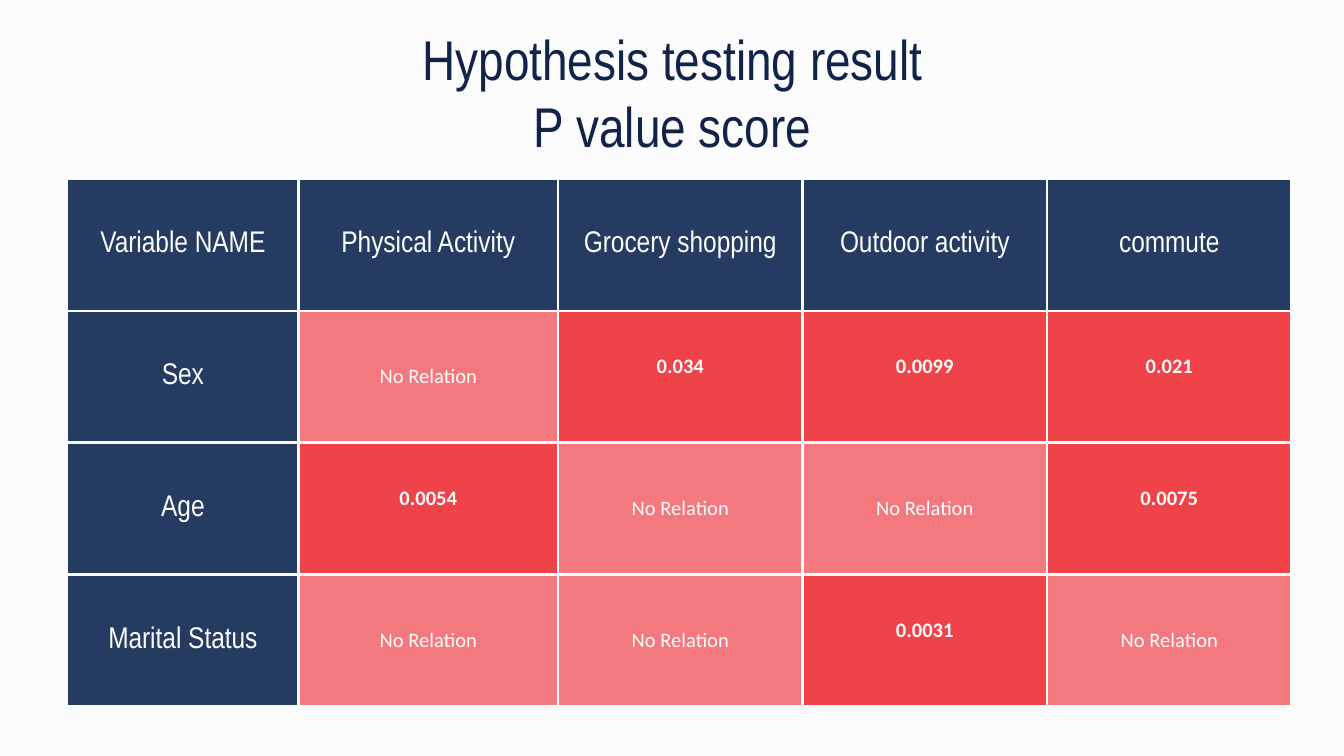
from lxml.etree import SubElement
from pptx import Presentation
from pptx.dml.color import RGBColor
from pptx.enum.text import MSO_ANCHOR, MSO_AUTO_SIZE, PP_ALIGN
from pptx.oxml.ns import qn
from pptx.util import Pt

PAPER = RGBColor(0xFC, 0xFC, 0xFC)
NAVY = RGBColor(0x25, 0x3B, 0x61)
INK = RGBColor(0x11, 0x23, 0x49)
RED = RGBColor(0xEF, 0x43, 0x49)
PINK = RGBColor(0xF3, 0x79, 0x7E)
NO_RELATION = "No Relation"
COLUMN_WIDTHS = [124, 139, 131, 131, 131]
ROW_HEIGHT = 70.6
RESULTS = [
    ["Variable NAME", "Physical Activity", "Grocery shopping", "Outdoor activity", "commute"],
    ["Sex", NO_RELATION, "0.034", "0.0099", "0.021"],
    ["Age", "0.0054", NO_RELATION, NO_RELATION, "0.0075"],
    ["Marital Status", NO_RELATION, NO_RELATION, "0.0031", NO_RELATION],
]


def write_text(frame, text, *, size, font, color=PAPER, bold=False, spacing=1.0):
    for index, line in enumerate(text.split("\n")):
        para = frame.add_paragraph() if index else frame.paragraphs[0]
        para.alignment = PP_ALIGN.CENTER
        para.line_spacing = spacing
        para.space_before = Pt(0)
        span = para.add_run()
        span.text = line
        span.font.size = Pt(size)
        span.font.name = font
        span.font.bold = bold
        span.font.color.rgb = color


def set_margins(box, bottom=7.2):
    box.margin_left = box.margin_right = box.margin_top = Pt(7.2)
    box.margin_bottom = Pt(bottom)


def add_title(page, text):
    title = page.shapes.title
    title.left, title.top = Pt(108.7), Pt(5.8)
    title.width, title.height = Pt(503.3), Pt(69.1)
    frame = title.text_frame
    frame.word_wrap = True
    frame.auto_size = MSO_AUTO_SIZE.NONE
    frame.vertical_anchor = MSO_ANCHOR.TOP
    set_margins(frame)
    write_text(frame, text, size=30, font="Arial Narrow", color=INK)


def set_borders(cell):
    properties = cell._tc.get_or_add_tcPr()
    for side in ("a:lnL", "a:lnR", "a:lnT", "a:lnB"):
        line = SubElement(properties, qn(side), w=str(Pt(1.5)))
        fill = SubElement(line, qn("a:solidFill"))
        SubElement(fill, qn("a:srgbClr"), val=str(PAPER))


def fill_cell(cell, text, is_heading):
    is_value = not is_heading and text != NO_RELATION
    set_borders(cell)
    cell.fill.solid()
    cell.fill.fore_color.rgb = NAVY if is_heading else RED if is_value else PINK
    cell.vertical_anchor = MSO_ANCHOR.MIDDLE
    set_margins(cell, bottom=20 if is_value else 7.2)
    if is_heading:
        write_text(cell.text_frame, text, size=16, font="Arial Narrow")
    else:
        write_text(cell.text_frame, text, size=11, font="Calibri", bold=is_value,
                   spacing=1.15 if is_value else 1.0)


def add_results_table(page):
    table = page.shapes.add_table(
        len(RESULTS), len(COLUMN_WIDTHS), Pt(36), Pt(96),
        Pt(sum(COLUMN_WIDTHS)), Pt(ROW_HEIGHT * len(RESULTS))).table
    for column, width in zip(table.columns, COLUMN_WIDTHS):
        column.width = Pt(width)
    for row_index, texts in enumerate(RESULTS):
        table.rows[row_index].height = Pt(ROW_HEIGHT)
        for column_index, text in enumerate(texts):
            is_heading = row_index == 0 or column_index == 0
            fill_cell(table.cell(row_index, column_index), text, is_heading)


def main():
    deck = Presentation()
    deck.slide_width, deck.slide_height = Pt(720), Pt(405)
    page = deck.slides.add_slide(deck.slide_layouts[0])
    page.background.fill.solid()
    page.background.fill.fore_color.rgb = PAPER
    subtitle = page.placeholders[1].element
    subtitle.getparent().remove(subtitle)
    add_results_table(page)
    add_title(page, "Hypothesis testing result\nP value score")
    deck.save("out.pptx")


if __name__ == "__main__":
    main()
